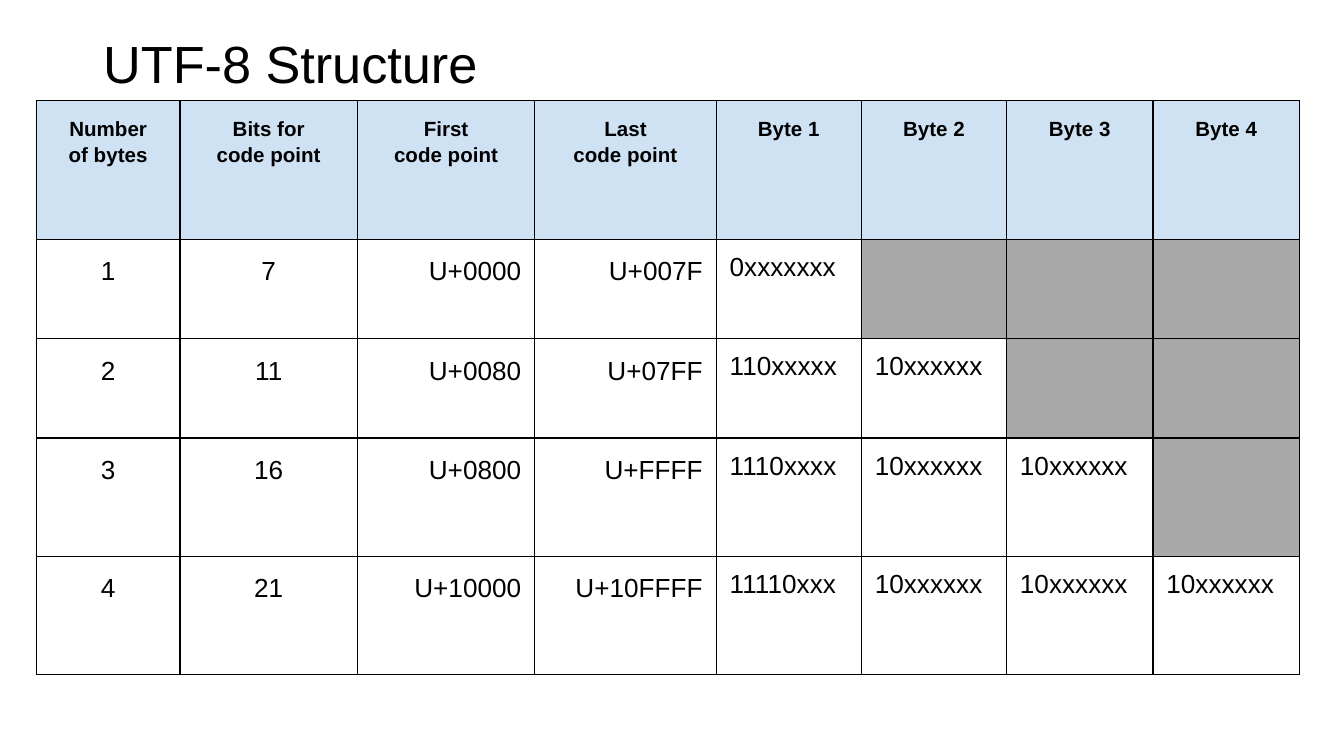
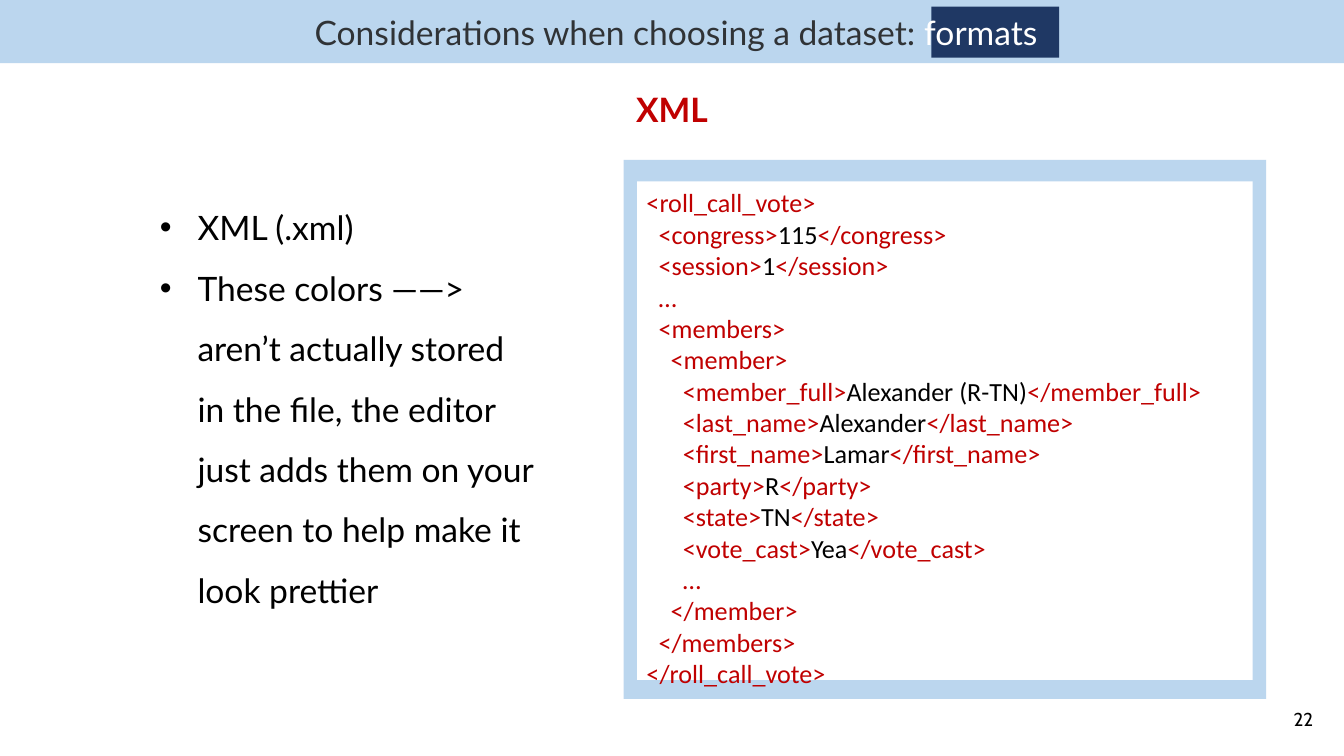
from dataclasses import dataclass
from typing import NamedTuple

from lxml import etree
from pptx import Presentation
from pptx import util as u
from pptx.dml.color import RGBColor
from pptx.enum import shapes, text as t
from pptx.oxml import ns
from pptx.slide import Slide
from pptx.table import _Cell as Cell
from pptx.text.text import TextFrame


@dataclass(frozen=True)
class Theme:
    black: str = "000000"
    white: str = "FFFFFF"
    red: str = "C00000"
    slate: str = "303336"
    navy: str = "1F3864"
    sky: str = "BBD6EE"
    head: str = "CFE2F3"
    gray: str = "A9A9A9"
    sans: str = "Arial"
    lato: str = "Lato"
    code: str = "Calibri"
    foot: str = "Cabin"
    title: float = 28
    body: float = 18
    cell: float = 14
    label: float = 11
    page: float = 10


class Box(NamedTuple):
    left: float
    top: float
    width: float
    height: float


class Run(NamedTuple):
    text: str
    color: str


class Line(NamedTuple):
    runs: tuple[Run, ...]
    depth: int = 0


class Panel(NamedTuple):
    box: Box
    color: str


LOOK = Theme()
LEFT, MID, RIGHT = t.PP_ALIGN.LEFT, t.PP_ALIGN.CENTER, t.PP_ALIGN.RIGHT
TIGHT = (0.07, 0.04)
STEP = 0.09

COLS = (1.07, 1.32, 1.32, 1.35, 1.08, 1.08, 1.09, 1.09)
ROWS = (1.03, 0.74, 0.74, 0.88, 0.88)
HEADS = (
    "Number\nof bytes", "Bits for\ncode point", "First\ncode point", "Last\ncode point",
    "Byte 1", "Byte 2", "Byte 3", "Byte 4",
)
CODES = (
    ("1", "7", "U+0000", "U+007F", "0xxxxxxx"),
    ("2", "11", "U+0080", "U+07FF", "110xxxxx"),
    ("3", "16", "U+0800", "U+FFFF", "1110xxxx"),
    ("4", "21", "U+10000", "U+10FFFF", "11110xxx"),
)
ALIGNS = (MID, MID, RIGHT, RIGHT) + (LEFT,) * 4

PANELS = (
    Panel(Box(4.64, 1.19, 4.78, 4.01), LOOK.sky),
    Panel(Box(0, 0, 10, 0.47), LOOK.sky),
    Panel(Box(6.93, 0.05, 0.95, 0.38), LOOK.navy),
)
FIELDS = (
    ("member_full", "Alexander (R-TN)"),
    ("last_name", "Alexander"),
    ("first_name", "Lamar"),
    ("party", "R"),
    ("state", "TN"),
    ("vote_cast", "Yea"),
)


def write(host: TextFrame | Cell, lines: str | list[Line], *, size: float, font: str,
          color: str = LOOK.black, bold: bool = False, align: t.PP_ALIGN = LEFT,
          space: float = 1.0, bullet: bool = False, inset: tuple[float, float] = TIGHT,
          anchor: t.MSO_ANCHOR = t.MSO_ANCHOR.TOP) -> None:
    if isinstance(lines, str):
        lines = [Line((Run(part, color),)) for part in lines.split("\n")]
    host.vertical_anchor = anchor
    host.margin_left = host.margin_right = u.Inches(inset[0])
    host.margin_top = host.margin_bottom = u.Inches(inset[1])
    frame = host.text_frame if isinstance(host, Cell) else host
    frame.word_wrap = True
    for pos, line in enumerate(lines):
        para = frame.add_paragraph() if pos else frame.paragraphs[0]
        para.alignment, para.line_spacing = align, space
        props = para._p.get_or_add_pPr()
        if bullet:
            props.set("marL", str(u.Inches(0.28)))
            props.set("indent", str(u.Inches(-0.28)))
            tint = etree.SubElement(props, ns.qn("a:buClr"))
            etree.SubElement(tint, ns.qn("a:srgbClr"), val=LOOK.black)
            etree.SubElement(props, ns.qn("a:buFont"), typeface="Arial")
            etree.SubElement(props, ns.qn("a:buChar"), char="•")
        elif line.depth:
            props.set("marL", str(u.Inches(STEP * line.depth)))
            props.set("indent", "0")
        for run in line.runs:
            for row, part in enumerate(run.text.split("\n")):
                if row:
                    para.add_line_break()
                piece = para.add_run()
                piece.text = part
                piece.font.name, piece.font.size = font, u.Pt(size)
                piece.font.bold = bold
                piece.font.color.rgb = RGBColor.from_string(run.color)


def label(slide: Slide, box: Box, lines: str | list[Line], **form) -> None:
    area = slide.shapes.add_textbox(*map(u.Inches, box))
    write(area.text_frame, lines, **form)


def block(slide: Slide, panel: Panel) -> TextFrame:
    shape = slide.shapes.add_shape(shapes.MSO_SHAPE.RECTANGLE, *map(u.Inches, panel.box))
    shape.shadow.inherit = False
    shape.fill.solid()
    shape.fill.fore_color.rgb = RGBColor.from_string(panel.color)
    shape.line.fill.background()
    return shape.text_frame


def paint(cell: Cell, color: str | None) -> None:
    props = cell._tc.get_or_add_tcPr()
    for side in ("lnL", "lnR", "lnT", "lnB"):
        edge = etree.SubElement(props, ns.qn(f"a:{side}"), w=str(u.Pt(0.75)))
        fill = etree.SubElement(edge, ns.qn("a:solidFill"))
        etree.SubElement(fill, ns.qn("a:srgbClr"), val=LOOK.black)
    if color:
        cell.fill.solid()
        cell.fill.fore_color.rgb = RGBColor.from_string(color)
    else:
        cell.fill.background()


def bytes_slide(slide: Slide) -> None:
    label(slide, Box(0.67, 0.19, 9, 0.56), "UTF-8 Structure", size=LOOK.title,
          font=LOOK.sans, inset=(0.1, 0.05), anchor=t.MSO_ANCHOR.BOTTOM)
    box = Box(0.27, 0.75, sum(COLS), sum(ROWS))
    grid = slide.shapes.add_table(len(ROWS), len(COLS), *map(u.Inches, box)).table
    grid.first_row = grid.horz_banding = False
    for col, width in zip(grid.columns, COLS):
        col.width = u.Inches(width)
    for row, height in zip(grid.rows, ROWS):
        row.height = u.Inches(height)
    inset = (0.1, 0.1)
    for col, head in enumerate(HEADS):
        cell = grid.cell(0, col)
        paint(cell, LOOK.head)
        write(cell, head, size=LOOK.label, font=LOOK.sans, bold=True,
              align=MID, space=1.15, inset=inset)
    for row, code in enumerate(CODES, 1):
        words = code + ("10xxxxxx",) * (row - 1)
        for col, align in enumerate(ALIGNS):
            cell = grid.cell(row, col)
            full = col < len(words)
            paint(cell, None if full else LOOK.gray)
            if full:
                write(cell, words[col], size=LOOK.cell, font=LOOK.sans,
                      align=align, space=1.15 if col < 4 else 1.0, inset=inset)


def mark(word: str, depth: int = 0) -> Line:
    return Line((Run(word, LOOK.red),), depth)


def field(name: str, value: str, depth: int) -> Line:
    return Line((Run(f"<{name}>", LOOK.red), Run(value, LOOK.black),
                 Run(f"</{name}>", LOOK.red)), depth)


def format_slide(slide: Slide) -> None:
    for panel in PANELS:
        block(slide, panel)
    title = Line((Run("Considerations when choosing a dataset: ", LOOK.slate),
                  Run("formats", LOOK.white)))
    label(slide, Box(1.27, 0.05, 7.52, 0.38), [title], size=LOOK.body,
          font=LOOK.lato, align=MID)
    label(slide, Box(9.42, 5.2, 0.42, 0.3), "22", size=LOOK.page, font=LOOK.foot,
          align=RIGHT, anchor=t.MSO_ANCHOR.MIDDLE)
    notes = (
        "XML (.xml)",
        "These colors ——>\naren’t actually stored in the file, the editor just adds "
        "them on your screen to help make it look prettier",
    )
    label(slide, Box(1.12, 1.35, 2.94, 3.22), [Line((Run(note, LOOK.black),)) for note in notes],
          size=LOOK.body, font=LOOK.lato, space=1.5, bullet=True)
    label(slide, Box(1.24, 0.62, 7.52, 0.38), "XML", size=LOOK.body, font=LOOK.lato,
          color=LOOK.red, bold=True, align=MID)
    code = [
        mark("<roll_call_vote>"),
        field("congress", "115", 1),
        field("session", "1", 1),
        mark("…", 1),
        mark("<members>", 1),
        mark("<member>", 2),
        *(field(name, value, 3) for name, value in FIELDS),
        mark("…", 3),
        mark("</member>", 2),
        mark("</members>", 1),
        mark("</roll_call_vote>"),
    ]
    frame = block(slide, Panel(Box(4.74, 1.35, 4.58, 3.71), LOOK.white))
    write(frame, code, size=LOOK.cell, font=LOOK.code)


def main() -> None:
    deck = Presentation()
    deck.slide_width = u.Inches(10)
    deck.slide_height = deck.slide_width * 9 // 16
    for draw in (bytes_slide, format_slide):
        draw(deck.slides.add_slide(deck.slide_layouts[6]))
    deck.save("out.pptx")


if __name__ == "__main__":
    main()
